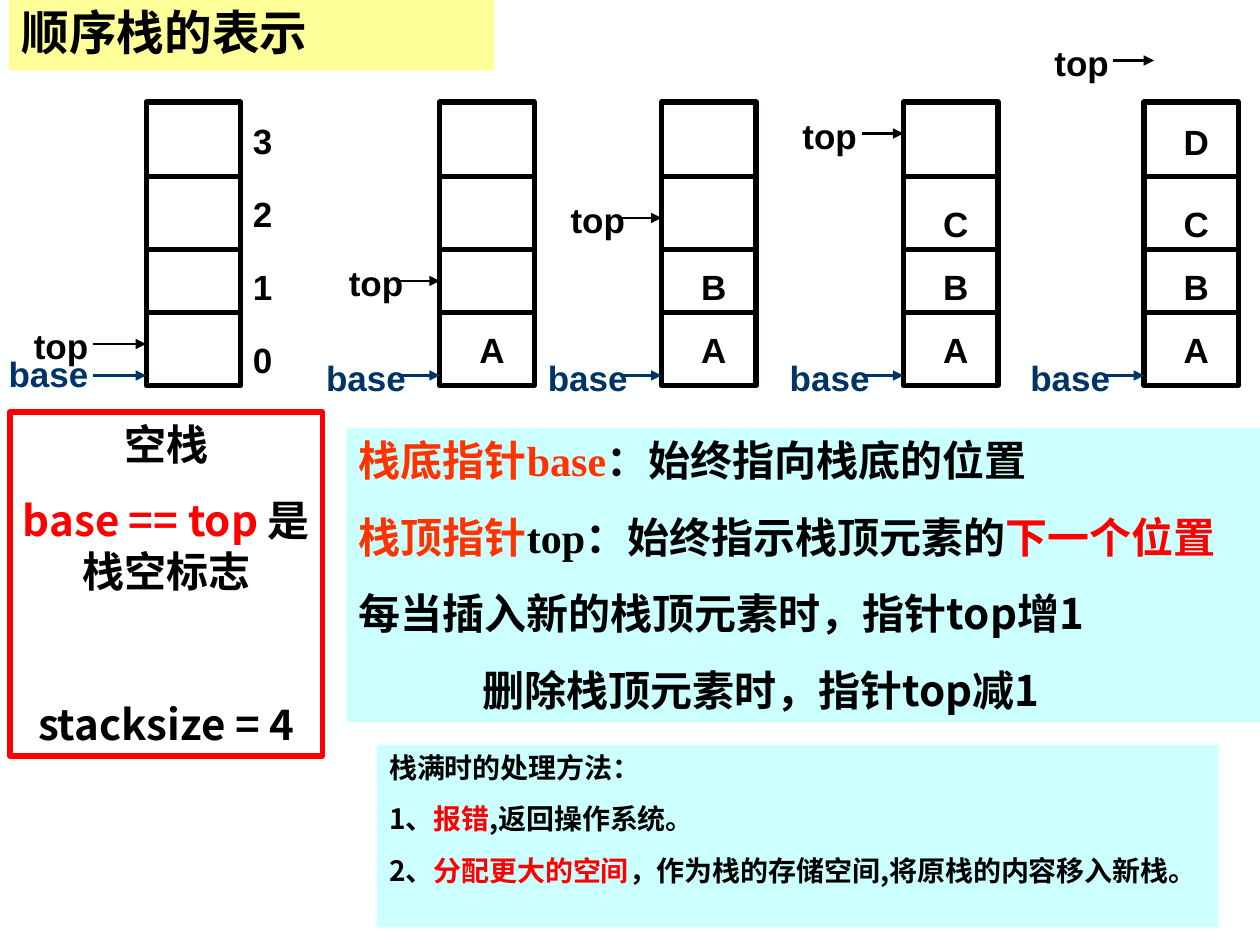
"""Build a slide showing how a sequential stack moves its top pointer."""
from dataclasses import dataclass

from lxml import etree
from pptx import Presentation
from pptx.dml.color import RGBColor
from pptx.enum import shapes, text
from pptx.oxml import ns
from pptx.util import Inches, Pt


@dataclass(frozen=True)
class Theme:
    background: str = "FEFFFF"
    ink: str = "000000"
    white: str = "FFFFFF"
    navy: str = "003366"
    red: str = "FF0000"
    orange: str = "FF3300"
    yellow: str = "FFFF99"
    cyan: str = "CCFFFF"
    cjk: str = "Noto Sans CJK SC"
    sans: str = "Arial"
    serif: str = "Times New Roman"
    title_size: float = 27.2
    body_size: float = 24
    label_size: float = 20
    note_size: float = 16
    thick: float = 3
    thin: float = 1.5


THEME = Theme()


@dataclass(frozen=True)
class Run:
    words: str
    color: str = THEME.ink
    font: str = THEME.cjk


@dataclass(frozen=True)
class Line:
    runs: tuple[Run, ...]
    before: float = 0
    indent: float = 0


@dataclass(frozen=True)
class Panel:
    box: tuple[float, float, float, float]
    lines: tuple[Line, ...]
    size: float
    fill: str | None = None
    border: str | None = None
    align: text.PP_ALIGN = text.PP_ALIGN.LEFT


@dataclass(frozen=True)
class Stack:
    left: float
    items: str
    top_y: float
    top_label: float
    base_label: float
    base_label_y: float = 2.78
    arrow: float = 0.33
    shift: float = 0


STACK_TOP, STACK_WIDTH, STACK_HEIGHT, BASE_Y = 0.81, 0.75, 2.25, 2.98
DIVIDERS = (1.4, 1.98, 2.48)
ITEM_TOPS = (2.56, 2.06, 1.56, 0.91)
STACKS = (
    Stack(1.16, "", 2.73, -0.18, -0.28, 2.75, 0.42),
    Stack(3.49, "A", 2.23, 2.32, 2.24),
    Stack(5.25, "AB", 1.73, 4.08, 4),
    Stack(7.17, "ABC", 1.06, 5.92, 5.92),
    Stack(9.08, "ABCD", 0.48, 7.92, 7.83, shift=0.08),
)
PANELS = (
    Panel((0.08, 3.27, 2.48, 2.73), (
        Line((Run("空栈"),)),
        Line((Run("base == top ", THEME.red), Run("是栈空标志")), 15),
        Line((Run("stacksize = 4"),), 59),
    ), THEME.body_size, border=THEME.red, align=text.PP_ALIGN.CENTER),
    Panel((2.75, 3.4, 7.25, 2.33), (
        Line((Run("栈底指针base", THEME.orange, THEME.serif),
              Run("：始终指向栈底的位置", font=THEME.serif))),
        Line((Run("栈顶指针", THEME.orange, THEME.serif), Run("top：", font=THEME.serif),
              Run("始终指示栈顶元素的"), Run("下一个位置", THEME.red)), 15),
        Line((Run("每当插入新的栈顶元素时，指针top增1"),), 15),
        Line((Run("删除栈顶元素时，指针top减1"),), 15, 0.98),
    ), THEME.body_size, THEME.cyan),
    Panel((2.99, 5.91, 6.68, 1.45), (
        Line((Run("栈满时的处理方法："),)),
        Line((Run("1、"), Run("报错", THEME.red), Run(",返回操作系统。")), 10),
        Line((Run("2、"), Run("分配更大的空间", THEME.red),
              Run("，作为栈的存储空间,将原栈的内容移入新栈。")), 10),
    ), THEME.note_size, THEME.cyan),
)


def set_typeface(font, name: str) -> None:
    """Set the Latin typeface together with the East Asian one."""
    font.name = name
    latin = font._element.find(ns.qn("a:latin")) if hasattr(font, "_element") else font._rPr.find(ns.qn("a:latin"))
    east_asian = etree.Element(ns.qn("a:ea"), typeface=THEME.cjk)
    latin.addnext(east_asian)


def write_line(paragraph, line: Line, size: float, align: text.PP_ALIGN) -> None:
    """Fill a paragraph, keeping shared formatting at paragraph level."""
    paragraph.alignment = align
    paragraph.space_before = Pt(line.before)
    if line.indent:
        paragraph._p.get_or_add_pPr().set("marL", str(Inches(line.indent)))
    paragraph.font.size = Pt(size)
    paragraph.font.bold = True
    for part in line.runs:
        run = paragraph.add_run()
        run.text = part.words
    one_color = len({part.color for part in line.runs}) == 1
    one_font = len({part.font for part in line.runs}) == 1
    color_targets = [paragraph] if one_color else paragraph.runs
    font_targets = [paragraph] if one_font else paragraph.runs
    for target, part in zip(color_targets, line.runs):
        target.font.color.rgb = RGBColor.from_string(part.color)
    for target, part in zip(font_targets, line.runs):
        set_typeface(target.font, part.font)


def add_box(container, box: tuple[float, ...], fill: str | None, border: str | None):
    """Add a rectangle with an optional fill and border."""
    shape = container.add_shape(shapes.MSO_SHAPE.RECTANGLE, *map(Inches, box))
    shape.shadow.inherit = False
    paint(shape, fill)
    if border:
        shape.line.color.rgb = RGBColor.from_string(border)
        shape.line.width = Pt(THEME.thick)
    else:
        shape.line.fill.background()
    return shape


def paint(target, fill: str | None) -> None:
    """Give a shape or background a solid fill, or none."""
    if fill:
        target.fill.solid()
        target.fill.fore_color.rgb = RGBColor.from_string(fill)
    else:
        target.fill.background()


def add_rule(container, left: float, right: float, y: float, color: str, arrow: bool = False) -> None:
    """Draw a horizontal divider or pointer arrow."""
    ends = map(Inches, (left, y, right, y))
    connector = container.add_connector(shapes.MSO_CONNECTOR.STRAIGHT, *ends)
    connector.line.color.rgb = RGBColor.from_string(color)
    connector.line.width = Pt(THEME.thin if arrow else THEME.thick)
    if arrow:
        etree.SubElement(connector.line._get_or_add_ln(), ns.qn("a:tailEnd"), type="triangle")
    etree.SubElement(connector._element.spPr, ns.qn("a:effectLst"))


def add_label(container, words: str, left: float, top: float, width: float,
              color: str = THEME.ink, align: text.PP_ALIGN = text.PP_ALIGN.CENTER) -> None:
    """Add a one-line stack label."""
    frame = container.add_textbox(*map(Inches, (left, top, width, 0.44))).text_frame
    frame.word_wrap = True
    write_line(frame.paragraphs[0], Line((Run(words, color, THEME.sans),)), THEME.label_size, align)


def add_stack(slide, stack: Stack) -> None:
    """Draw one stack with its items and both pointers."""
    group = slide.shapes.add_group_shape().shapes
    left, right = stack.left, stack.left + STACK_WIDTH
    add_box(group, (left, STACK_TOP, STACK_WIDTH, STACK_HEIGHT), THEME.white, THEME.ink)
    for y in DIVIDERS:
        add_rule(group, left, right, y, THEME.ink)
    tip = left + stack.shift
    add_rule(group, tip - stack.arrow, tip, stack.top_y, THEME.ink, True)
    add_rule(group, left - stack.arrow, left, BASE_Y, THEME.navy, True)
    add_label(group, "top", stack.top_label, stack.top_y - 0.2, 1.33)
    add_label(group, "base", stack.base_label, stack.base_label_y, 1.33, THEME.navy)
    for item, y in zip(stack.items, ITEM_TOPS):
        add_label(group, item, left + 0.08, y, 0.67)
    if not stack.items:
        for row, index in enumerate("3210"):
            add_label(group, index, right, 0.9 + 0.58 * row, 0.33, align=text.PP_ALIGN.LEFT)


def add_panel(slide, panel: Panel) -> None:
    """Draw a rectangle of explanatory paragraphs."""
    frame = add_box(slide.shapes, panel.box, panel.fill, panel.border).text_frame
    frame.word_wrap = True
    frame.vertical_anchor = text.MSO_ANCHOR.TOP
    for number, line in enumerate(panel.lines):
        paragraph = frame.add_paragraph() if number else frame.paragraphs[0]
        write_line(paragraph, line, panel.size, panel.align)


def add_title(slide, words: str) -> None:
    """Place and format the title placeholder."""
    title = slide.shapes.title
    title.left, title.top, title.width, title.height = map(Inches, (0.07, 0, 3.85, 0.56))
    paint(title, THEME.yellow)
    title.text_frame.auto_size = text.MSO_AUTO_SIZE.NONE
    title.text_frame.vertical_anchor = text.MSO_ANCHOR.MIDDLE
    paragraph = title.text_frame.paragraphs[0]
    paragraph.line_spacing = 0.9
    write_line(paragraph, Line((Run(words),)), THEME.title_size, text.PP_ALIGN.LEFT)


def main() -> None:
    """Assemble and save the slide."""
    presentation = Presentation()
    presentation.slide_width, presentation.slide_height = Inches(10), Inches(7.5)
    slide = presentation.slides.add_slide(presentation.slide_layouts[5])
    paint(slide.background, THEME.background)
    add_title(slide, "顺序栈的表示")
    for stack in STACKS:
        add_stack(slide, stack)
    for panel in PANELS:
        add_panel(slide, panel)
    presentation.save("out.pptx")


if __name__ == "__main__":
    main()
